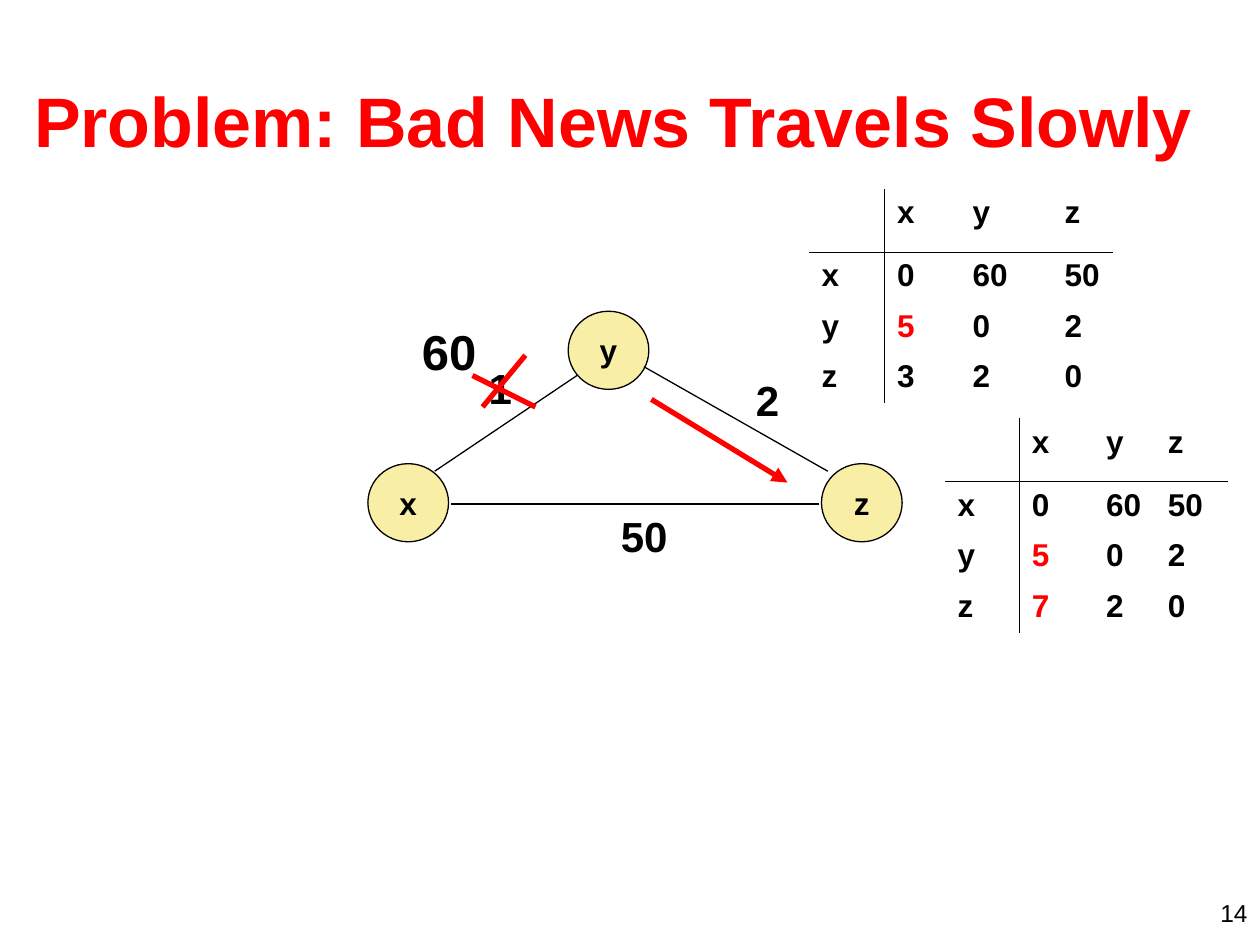
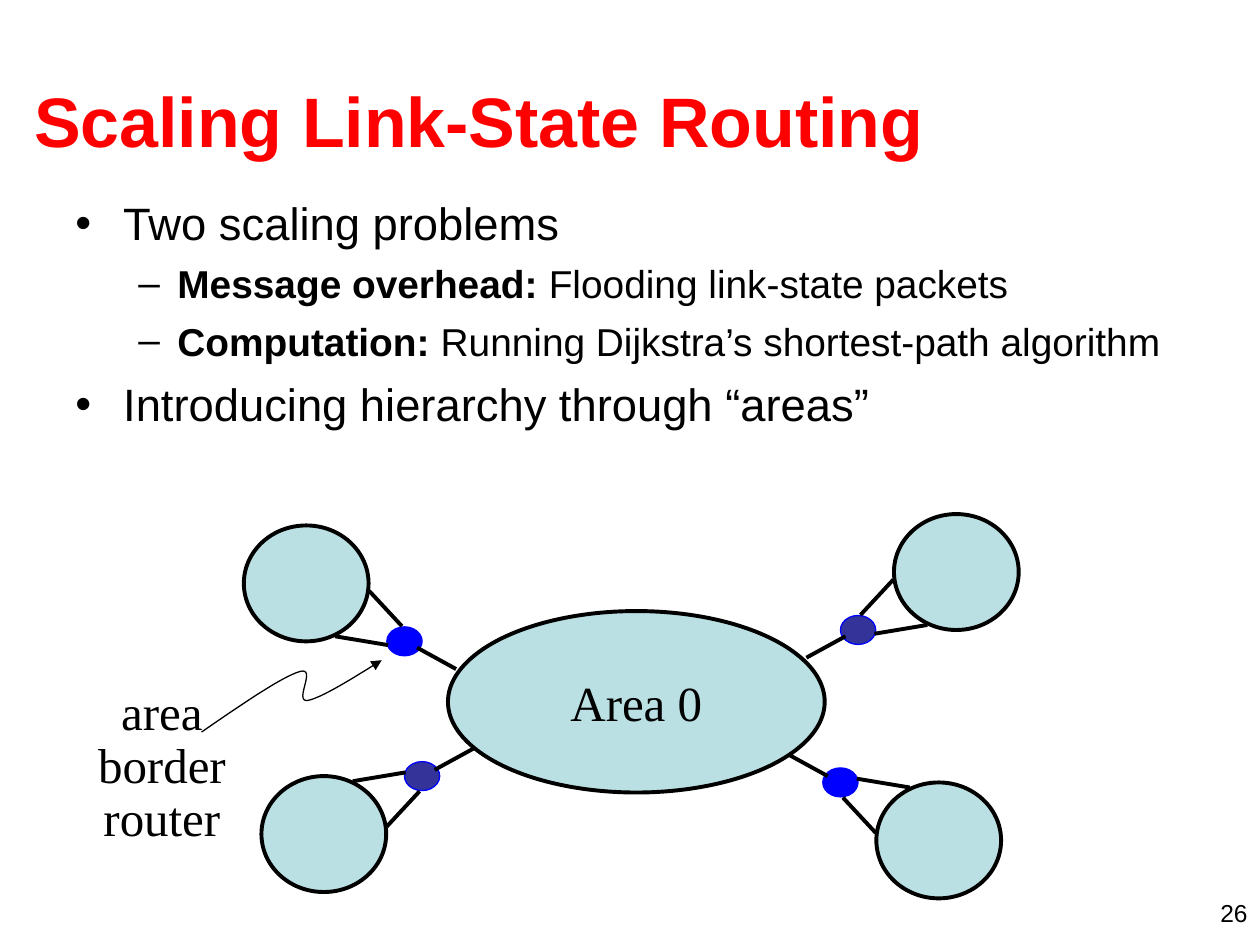
from dataclasses import dataclass
from typing import Any, Optional

from lxml.etree import SubElement
from pptx import Presentation
from pptx.dml.color import RGBColor
from pptx.enum.shapes import MSO_CONNECTOR, MSO_SHAPE
from pptx.enum.text import MSO_ANCHOR, PP_ALIGN
from pptx.oxml.ns import qn
from pptx.util import Inches, Pt

BLACK = RGBColor(0x00, 0x00, 0x00)
RED = RGBColor(0xFF, 0x00, 0x00)
BLUE = RGBColor(0x00, 0x00, 0xFF)
INDIGO = RGBColor(0x33, 0x33, 0x99)
CREAM = RGBColor(0xF8, 0xEE, 0xA6)
PALE_TEAL = RGBColor(0xBB, 0xE0, 0xE3)
SANS = "Arial"
SERIF = "Times New Roman"
TITLE_ONLY = 5

Point = tuple[float, float]


@dataclass(frozen=True)
class Label:
    text: str
    left: float
    top: float
    width: float
    height: float = 0.5
    size: float = 24


@dataclass(frozen=True)
class Line:
    start: Point
    end: Point
    color: RGBColor = BLACK
    width: float = 0.75
    arrow: bool = False


@dataclass(frozen=True)
class DistanceTable:
    left: float
    top: float
    widths: tuple[float, ...]
    rows: tuple[str, ...]
    changed: tuple[tuple[int, int], ...]


@dataclass(frozen=True)
class Area:
    """An outer area; the signs tell on which side its border router lies."""
    center: Point
    sign_x: int
    sign_y: int
    router_color: RGBColor


@dataclass(frozen=True)
class Bullet:
    text: str
    lead: str = ""
    level: int = 0


NODES = {"y": (4.83, 2.78), "x": (3.24, 3.99), "z": (6.84, 3.99)}
LINKS = (
    Line((3.58, 4), (6.5, 4)),
    Line((3.45, 3.74), (4.58, 2.98)),
    Line((5.11, 2.91), (6.57, 3.74)),
)
COSTS = (
    Label("1", 3.78, 2.83, 0.47),
    Label("2", 5.9, 2.92, 0.47),
    Label("50", 4.83, 4, 0.67),
    Label("60", 3.25, 2.5, 0.67, 0.57, 28),
)
RED_MARKS = (
    Line((3.75, 2.98), (4.25, 3.23), RED, 3),
    Line((4.17, 2.82), (3.83, 3.23), RED, 3),
)
UPDATE_ARROW = Line((5.17, 3.17), (6.25, 3.83), RED, 3, True)
TABLES = (
    DistanceTable(6.42, 1.5, (0.6, 0.6, 0.73, 0.48),
                  ("x 0 60 50", "y 5 0 2", "z 3 2 0"), ((2, 1),)),
    DistanceTable(7.5, 3.32, (0.59, 0.59, 0.49, 0.58),
                  ("x 0 60 50", "y 5 0 2", "z 7 2 0"), ((2, 1), (3, 1))),
)

BULLETS = (
    Bullet("Two scaling problems"),
    Bullet("Flooding link-state packets", "Message overhead: ", 1),
    Bullet("Running Dijkstra’s shortest-path algorithm", "Computation: ", 1),
    Bullet("Introducing hierarchy through “areas”"),
)
# Per level: character, text indent, hanging part, size, space before
BULLET_STYLES = (("•", 0.38, 0.38, 25.9, 7), ("–", 0.81, 0.31, 22.2, 6))
AREAS = (
    Area((2.43, 4.63), 1, 1, BLUE),
    Area((7.59, 4.54), -1, 1, INDIGO),
    Area((2.57, 6.62), 1, -1, INDIGO),
    Area((7.45, 6.67), -1, -1, BLUE),
)
# Offsets from the centre of an area whose router lies right of and below it
ROUTER_OFFSET = (0.78, 0.46)
AREA_LINKS = (
    ((0.88, 0.51), (1.19, 0.68)),
    ((0.5, 0.06), (0.76, 0.34)),
    ((0.23, 0.42), (0.65, 0.49)),
)
# Start point, then three points for each cubic curve
POINTER = ((1.6, 5.81), (1.92, 5.59), (2.24, 5.37), (2.38, 5.33),
           (2.52, 5.29), (2.33, 5.57), (2.44, 5.56),
           (2.55, 5.54), (2.79, 5.39), (3.03, 5.24))


def add_span(para: Any, text: str, *, size: float, color: RGBColor = BLACK,
             bold: bool = False, font: str = SANS) -> None:
    span = para.add_run()
    span.text = text
    span.font.name = font
    span.font.size = Pt(size)
    span.font.bold = bold
    span.font.color.rgb = color


def write(frame: Any, text: str, *, align: PP_ALIGN = PP_ALIGN.LEFT,
          anchor: MSO_ANCHOR = MSO_ANCHOR.TOP, wrap: bool = True,
          spacing: Optional[float] = None, **style: Any) -> None:
    """Fill a text frame with one paragraph for each line of text."""
    frame.word_wrap = wrap
    frame.vertical_anchor = anchor
    for index, line in enumerate(text.split("\n")):
        para = frame.add_paragraph() if index else frame.paragraphs[0]
        para.alignment = align
        para.line_spacing = spacing
        add_span(para, line, **style)


def add_box(page: Any, left: float, top: float, width: float, height: float) -> Any:
    return page.shapes.add_textbox(Inches(left), Inches(top),
                                   Inches(width), Inches(height))


def add_ellipse(page: Any, center: Point, width: float, height: float,
                fill: RGBColor, line: RGBColor = BLACK, line_width: float = 0.75) -> Any:
    shape = page.shapes.add_shape(
        MSO_SHAPE.OVAL, Inches(center[0] - width / 2), Inches(center[1] - height / 2),
        Inches(width), Inches(height))
    shape.shadow.inherit = False
    shape.fill.solid()
    shape.fill.fore_color.rgb = fill
    shape.line.color.rgb = line
    shape.line.width = Pt(line_width)
    return shape


def add_arrowhead(shape: Any) -> None:
    SubElement(shape.element.spPr.find(qn("a:ln")), qn("a:tailEnd"), type="triangle")


def draw_line(page: Any, line: Line) -> None:
    connector = page.shapes.add_connector(
        MSO_CONNECTOR.STRAIGHT, *(Inches(value) for value in line.start + line.end))
    connector.line.color.rgb = line.color
    connector.line.width = Pt(line.width)
    if line.arrow:
        add_arrowhead(connector)
    SubElement(connector.element.spPr, qn("a:effectLst"))


def draw_label(page: Any, label: Label) -> None:
    box = add_box(page, label.left, label.top, label.width, label.height)
    write(box.text_frame, label.text, size=label.size, bold=True)


def format_cell(cell: Any, row: int, column: int) -> None:
    """Rule off the header row and the header column, without any fill."""
    properties = cell._tc.get_or_add_tcPr()
    sides = (("L", column == 1), ("R", column == 0), ("T", row == 1), ("B", row == 0))
    for side, ruled in sides:
        border = SubElement(properties, qn(f"a:ln{side}"), w=str(Pt(0.45)))
        if ruled:
            fill = SubElement(border, qn("a:solidFill"))
            SubElement(fill, qn("a:srgbClr"), val=str(BLACK))
        else:
            SubElement(border, qn("a:noFill"))
    cell.fill.background()


def draw_table(page: Any, data: DistanceTable) -> None:
    rows = [["", "x", "y", "z"], *(row.split() for row in data.rows)]
    heights = (0.5, 0.4, 0.4, 0.4)
    table = page.shapes.add_table(
        len(rows), len(data.widths), Inches(data.left), Inches(data.top),
        Inches(sum(data.widths)), Inches(sum(heights))).table
    table.first_row = table.horz_banding = False
    for column, width in zip(table.columns, data.widths):
        column.width = Inches(width)
    for row, height in zip(table.rows, heights):
        row.height = Inches(height)
    for row, values in enumerate(rows):
        for column, value in enumerate(values):
            cell = table.cell(row, column)
            format_cell(cell, row, column)
            if value:
                color = RED if (row, column) in data.changed else BLACK
                write(cell.text_frame, value, size=18, bold=True, color=color)


def draw_bullets(page: Any) -> None:
    frame = add_box(page, 0.5, 1.5, 9, 2.17).text_frame
    frame.word_wrap = True
    for index, bullet in enumerate(BULLETS):
        character, indent, hanging, size, before = BULLET_STYLES[bullet.level]
        para = frame.add_paragraph() if index else frame.paragraphs[0]
        para.level = bullet.level
        if index:
            para.space_before = Pt(before)
        properties = para._p.get_or_add_pPr()
        properties.set("marL", str(Inches(indent)))
        properties.set("indent", str(-Inches(hanging)))
        SubElement(properties, qn("a:buFont"), typeface=SANS)
        SubElement(properties, qn("a:buChar"), char=character)
        if bullet.lead:
            add_span(para, bullet.lead, size=size, bold=True)
        add_span(para, bullet.text, size=size)


def draw_area(page: Any, area: Area) -> None:
    def place(offset: Point) -> Point:
        return (area.center[0] + area.sign_x * offset[0],
                area.center[1] + area.sign_y * offset[1])

    add_ellipse(page, area.center, 0.99, 0.92, PALE_TEAL, line_width=2.25)
    add_ellipse(page, place(ROUTER_OFFSET), 0.28, 0.23, area.router_color, BLUE)
    for start, end in AREA_LINKS:
        draw_line(page, Line(place(start), place(end), width=2.25))


def curve_points(points: tuple[Point, ...], steps: int = 16) -> list[Point]:
    """Sample a chain of cubic Bezier curves."""
    samples = []
    for first in range(0, len(points) - 1, 3):
        controls = points[first:first + 4]
        for step in range(1, steps + 1):
            t = step / steps
            weights = ((1 - t) ** 3, 3 * t * (1 - t) ** 2, 3 * t * t * (1 - t), t ** 3)
            samples.append(tuple(
                sum(weight * point[axis] for weight, point in zip(weights, controls))
                for axis in (0, 1)))
    return samples


def draw_pointer(page: Any) -> None:
    builder = page.shapes.build_freeform(*(Inches(value) for value in POINTER[0]))
    builder.add_line_segments(
        [(Inches(x), Inches(y)) for x, y in curve_points(POINTER)], close=False)
    pointer = builder.convert_to_shape()
    pointer.shadow.inherit = False
    pointer.fill.background()
    pointer.line.color.rgb = BLACK
    pointer.line.width = Pt(0.75)
    add_arrowhead(pointer)


def add_page(deck: Any, title: str, number: int) -> Any:
    page = deck.slides.add_slide(deck.slide_layouts[TITLE_ONLY])
    heading = page.shapes.title
    heading.left, heading.top = Inches(0.17), Inches(0.32)
    heading.width, heading.height = Inches(9.58), Inches(1.25)
    write(heading.text_frame, title, anchor=MSO_ANCHOR.MIDDLE,
          size=40, bold=True, color=RED)
    write(add_box(page, 7.67, 7.08, 2.33, 0.25).text_frame, str(number),
          align=PP_ALIGN.RIGHT, size=14)
    return page


def build_bad_news(deck: Any) -> None:
    page = add_page(deck, "Problem: Bad News Travels Slowly", 14)
    for name, center in NODES.items():
        node = add_ellipse(page, center, 0.64, 0.62, CREAM)
        write(node.text_frame, name, align=PP_ALIGN.CENTER, anchor=MSO_ANCHOR.MIDDLE,
              wrap=False, size=18, bold=True)
    for link in LINKS:
        draw_line(page, link)
    for cost in COSTS:
        draw_label(page, cost)
    for mark in RED_MARKS:
        draw_line(page, mark)
    for data in TABLES:
        draw_table(page, data)
    draw_line(page, UPDATE_ARROW)


def build_scaling(deck: Any) -> None:
    page = add_page(deck, "Scaling Link-State Routing", 26)
    draw_bullets(page)
    backbone = add_ellipse(page, (5.05, 5.57), 2.99, 1.44, PALE_TEAL, line_width=2.25)
    write(backbone.text_frame, "Area 0", align=PP_ALIGN.CENTER,
          anchor=MSO_ANCHOR.MIDDLE, wrap=False, size=28, font=SERIF)
    for area in AREAS:
        draw_area(page, area)
    draw_pointer(page)
    write(add_box(page, 0.63, 5.41, 1.31, 1.36).text_frame, "area\nborder\nrouter",
          align=PP_ALIGN.CENTER, wrap=False, spacing=0.9, size=28, font=SERIF)


def main() -> None:
    deck = Presentation()
    deck.slide_width, deck.slide_height = Inches(10), Inches(7.5)
    build_bad_news(deck)
    build_scaling(deck)
    deck.save("out.pptx")


if __name__ == "__main__":
    main()
